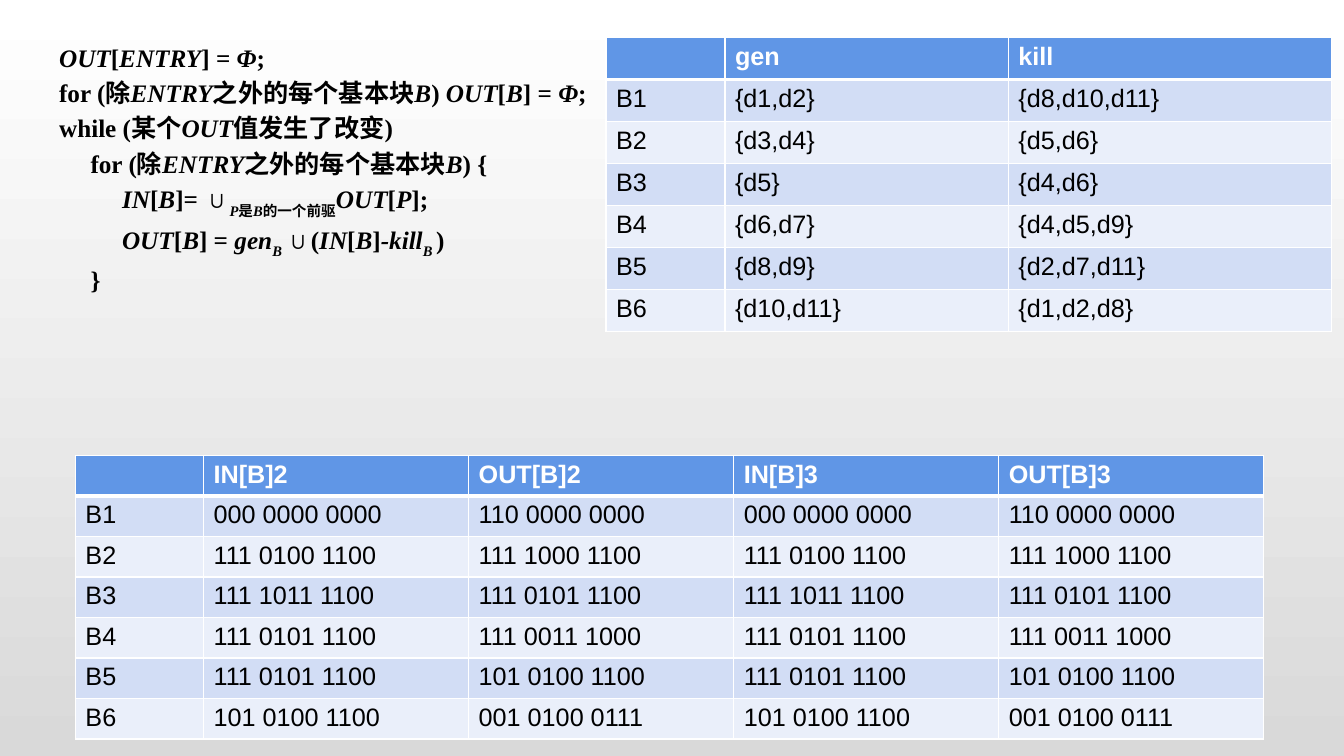
"""Builds the reaching-definitions slide: algorithm, gen/kill sets and iteration results."""
import dataclasses

import pptx
import pptx.dml.color
import pptx.oxml
import pptx.oxml.ns
import pptx.util

Cm, Pt = pptx.util.Cm, pptx.util.Pt
RGB = pptx.dml.color.RGBColor.from_string


@dataclasses.dataclass
class Theme:
    white: str = "FFFFFF"
    black: str = "000000"
    grey: str = "D9D9D9"
    head: str = "6096E6"
    bands: tuple = ("EAEFFA", "D2DDF5")
    code: str = "Times New Roman"
    sans: str = "Arial"
    size: int = 18


theme = Theme()


def style(para, face, color, bold):
    font = para.font
    font.name, font.size, font.bold = face, Pt(theme.size), bold
    font.color.rgb = RGB(color)


def add_grid(slide, left, top, widths, height, rows):
    shape = slide.shapes.add_table(len(rows), len(widths), Cm(left), Cm(top),
                                   Cm(sum(widths)), Cm(height * len(rows)))
    table = shape.table
    for col, width in zip(table.columns, widths):
        col.width = Cm(width)
    for r, row in enumerate(rows):
        table.rows[r].height = Cm(height)
        for c, text in enumerate(row):
            cell = table.cell(r, c)
            cell.text = text
            style(cell.text_frame.paragraphs[0], theme.sans,
                  theme.black if r else theme.white, r == 0)
            props = cell._tc.get_or_add_tcPr()
            for side in "LRTB":
                thick = (r, side) in ((0, "B"), (1, "T"))
                props.append(pptx.oxml.parse_xml(
                    f'<a:ln{side} {pptx.oxml.ns.nsdecls("a")} w="{Pt(3 if thick else 1)}">'
                    f'<a:solidFill><a:srgbClr val="{theme.white}"/></a:solidFill></a:ln{side}>'))
            cell.fill.solid()
            cell.fill.fore_color.rgb = RGB(theme.bands[r % 2] if r else theme.head)


deck = pptx.Presentation()
deck.slide_width, deck.slide_height = Cm(33.87), Cm(19.05)
slide = deck.slides.add_slide(deck.slide_layouts[6])

back = slide.background.fill
back.gradient()
back.gradient_angle = 270
for stop, color in zip(back.gradient_stops, (theme.white, theme.grey)):
    stop.color.rgb = RGB(color)

# In each line, | switches italics and ~ switches subscript.
lines = [
    "|OUT|[|ENTRY|] = |Φ|;",
    "for (除|ENTRY|之外的每个基本块|B|) |OUT|[|B|] = |Φ|;",
    "while (某个|OUT|值发生了改变)",
    "     for (除|ENTRY|之外的每个基本块|B|) {",
    "|          IN|[|B|]= ∪~|P|是|B|的一个前驱~|OUT|[|P|];",
    "|          OUT|[|B|] = |gen~|B ~∪(|IN|[|B|]|-kill~|B ~)",
    "     }",
]
frame = slide.shapes.add_textbox(Cm(1.24), Cm(0.94), Cm(14.35), Cm(6.55)).text_frame
frame.word_wrap = True
for n, line in enumerate(lines):
    para = frame.add_paragraph() if n else frame.paragraphs[0]
    if n:
        para.space_before = Pt(3.6)
    style(para, theme.code, theme.black, True)
    for g, group in enumerate(line.split("~")):
        for p, piece in enumerate(group.split("|")):
            if piece:
                run = para.add_run()
                run.text = piece
                run.font.italic = p % 2 == 1
                if g % 2:
                    run.font._element.set("baseline", "-30000")

sets = [
    ("{d1,d2}", "{d8,d10,d11}"),
    ("{d3,d4}", "{d5,d6}"),
    ("{d5}", "{d4,d6}"),
    ("{d6,d7}", "{d4,d5,d9}"),
    ("{d8,d9}", "{d2,d7,d11}"),
    ("{d10,d11}", "{d1,d2,d8}"),
]
bits = [
    ("000 0000 0000", "110 0000 0000"),
    ("111 0100 1100", "111 1000 1100"),
    ("111 1011 1100", "111 0101 1100"),
    ("111 0101 1100", "111 0011 1000"),
    ("111 0101 1100", "101 0100 1100"),
    ("101 0100 1100", "001 0100 0111"),
]
add_grid(slide, 15.27, 0.94, [3, 7.14, 8.15], 1.06,
         [("", "gen", "kill")] + [(f"B{n}", *row) for n, row in enumerate(sets, 1)])
add_grid(slide, 1.9, 11.48, [3.23] + [6.68] * 4, 1.02,
         [("", "IN[B]2", "OUT[B]2", "IN[B]3", "OUT[B]3")]
         + [(f"B{n}", *row, *row) for n, row in enumerate(bits, 1)])

deck.save("out.pptx")
